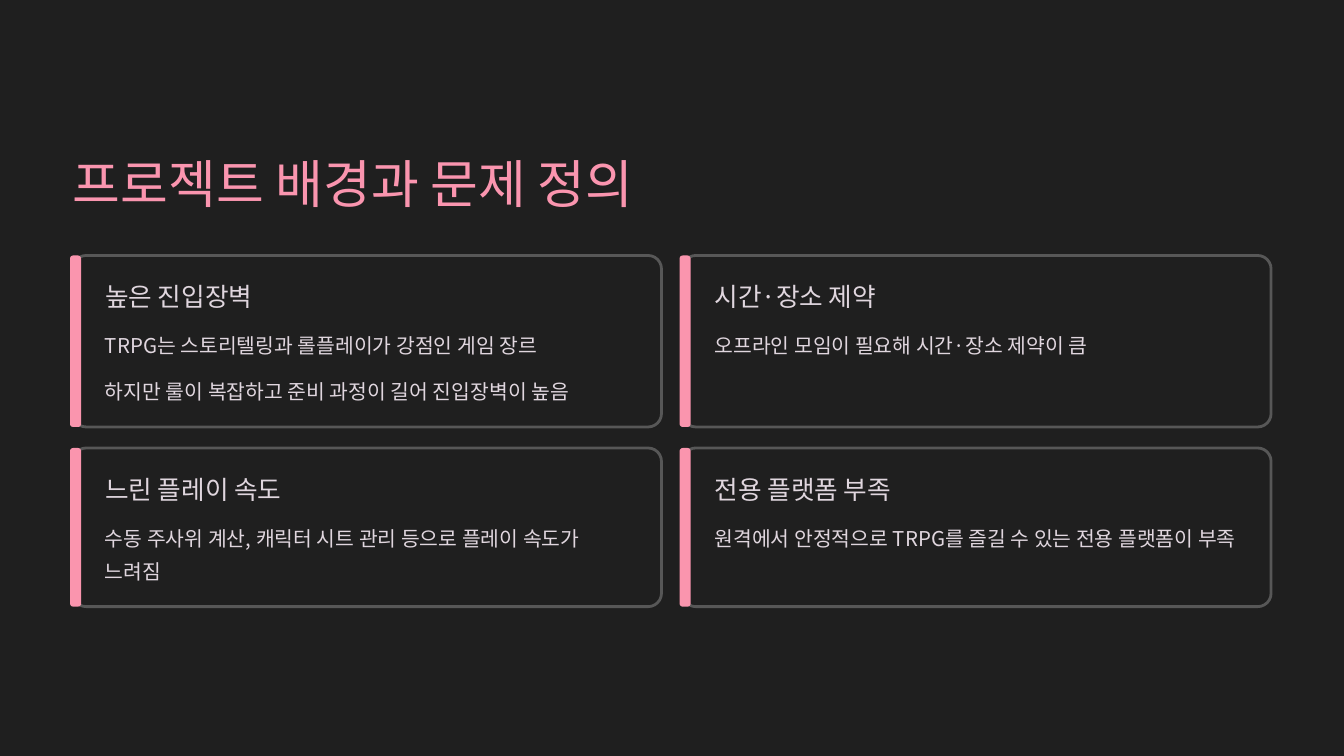
from lxml.etree import SubElement
from pptx import Presentation
from pptx.dml.color import RGBColor
from pptx.enum.shapes import MSO_SHAPE
from pptx.enum.text import MSO_ANCHOR, MSO_AUTO_SIZE, PP_ALIGN
from pptx.oxml.ns import qn
from pptx.util import Pt

FONT = "Noto Sans CJK KR"
DARK, GREY, PINK, BAR_PINK, PALE = "1F1F1F", "575757", "FA95AF", "FA95AE", "E0D6DE"

GRID_LEFT, GRID_TOP = 62.5, 219
CARD_WIDTH, GAP = 504.5, 18
CARD_RADIUS = 11.5

# Each row: its height and its cards as (heading, body paragraphs)
ROWS = [
    (147, [
        ("높은 진입장벽", ["TRPG는 스토리텔링과 롤플레이가 강점인 게임 장르",
                     "하지만 룰이 복잡하고 준비 과정이 길어 진입장벽이 높음"]),
        ("시간·장소 제약", ["오프라인 모임이 필요해 시간·장소 제약이 큼"]),
    ]),
    (136, [
        ("느린 플레이 속도", ["수동 주사위 계산, 캐릭터 시트 관리 등으로 플레이 속도가 느려짐"]),
        ("전용 플랫폼 부족", ["원격에서 안정적으로 TRPG를 즐길 수 있는 전용 플랫폼이 부족"]),
    ]),
]


def color(value):
    return RGBColor.from_string(value)


def write(shape, lines, size, spacing, ink, gap=0):
    frame = shape.text_frame
    frame.text = "\n".join(lines)
    frame.word_wrap = True
    frame.auto_size = MSO_AUTO_SIZE.NONE
    frame.vertical_anchor = MSO_ANCHOR.TOP
    frame.margin_left = frame.margin_right = frame.margin_top = frame.margin_bottom = 0
    for index, paragraph in enumerate(frame.paragraphs):
        paragraph.alignment = PP_ALIGN.LEFT
        paragraph.line_spacing = Pt(spacing)
        paragraph.space_before = Pt(gap if index else 0)
        for span in paragraph.runs:
            span.font.size = Pt(size)
            span.font.name = FONT
            span.font.color.rgb = color(ink)
            SubElement(span.font._element, qn("a:ea"), typeface=FONT)


def add_text(page, left, top, width, height, *style, **options):
    box = page.shapes.add_textbox(Pt(left), Pt(top), Pt(width), Pt(height))
    write(box, *style, **options)


def add_panel(page, left, top, width, height, radius, fill):
    panel = page.shapes.add_shape(
        MSO_SHAPE.ROUNDED_RECTANGLE, Pt(left), Pt(top), Pt(width), Pt(height))
    panel.adjustments[0] = radius / min(width, height)
    panel.shadow.inherit = False
    panel.fill.solid()
    panel.fill.fore_color.rgb = color(fill)
    panel.line.fill.background()
    return panel


def add_title(page, text, left, top, width, height):
    title = page.shapes.title
    title.left, title.top, title.width, title.height = map(Pt, (left, top, width, height))
    write(title, [text], 44.5, 55.5, PINK)


def add_card(page, left, top, width, height, heading, body):
    card = add_panel(page, left, top, width, height, CARD_RADIUS, DARK)
    card.line.color.rgb = color(GREY)
    card.line.width = Pt(2.4)
    add_panel(page, left - 2.5, top, 9.5, height, 2.65, BAR_PINK)
    text_left = left + 27.5
    add_text(page, text_left, top + 21, 223, 28, [heading], 22, 27.5, PALE)
    add_text(page, text_left, top + 59, 457.5, height - 79, body, 17.5, 28.5, PALE, gap=11)


def add_card_grid(page, left, top):
    for height, cards in ROWS:
        for column, (heading, body) in enumerate(cards):
            add_card(page, left + column * (CARD_WIDTH + GAP), top,
                     CARD_WIDTH, height, heading, body)
        top += height + GAP


def main():
    deck = Presentation()
    deck.slide_width, deck.slide_height = Pt(1152), Pt(648)
    page = deck.slides.add_slide(deck.slide_layouts[5])
    page.background.fill.solid()
    page.background.fill.fore_color.rgb = color(DARK)
    add_title(page, "프로젝트 배경과 문제 정의", GRID_LEFT, 127.5, 520, 56)
    add_card_grid(page, GRID_LEFT, GRID_TOP)
    deck.save("out.pptx")


if __name__ == "__main__":
    main()
